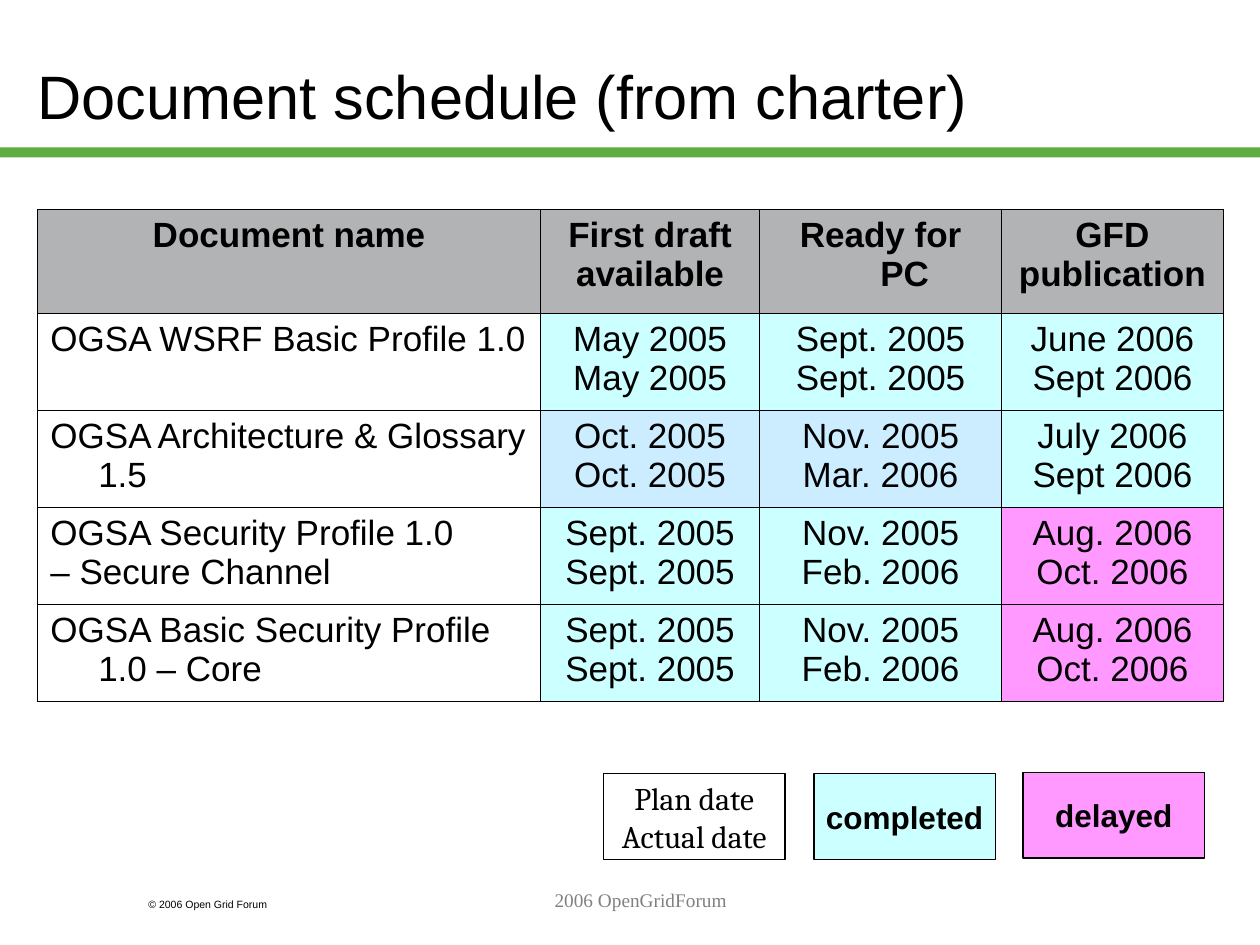
from pptx import Presentation
from pptx.dml.color import RGBColor
from pptx.enum.shapes import MSO_SHAPE
from pptx.enum.text import MSO_ANCHOR, PP_ALIGN
from pptx.oxml import parse_xml
from pptx.oxml.ns import nsdecls
from pptx.util import Inches, Pt

RECTANGLE = MSO_SHAPE.RECTANGLE
TOP, MIDDLE = MSO_ANCHOR.TOP, MSO_ANCHOR.MIDDLE
LEFT, CENTER = PP_ALIGN.LEFT, PP_ALIGN.CENTER

BLACK = RGBColor(0x00, 0x00, 0x00)
GREY = RGBColor(0x80, 0x80, 0x80)
GREEN = RGBColor(0x5D, 0xAD, 0x41)
HEADER = RGBColor(0xB2, 0xB3, 0xB5)
COMPLETED = RGBColor(0xCC, 0xFF, 0xFF)
EARLIER = RGBColor(0xCC, 0xEC, 0xFF)
DELAYED = RGBColor(0xFF, 0x99, 0xFF)

COLUMN_WIDTHS = [3.99, 1.74, 1.92, 1.76]
ROW_HEIGHTS = [0.83] + [0.77] * 4
# Each row: cell texts, then cell fills
SCHEDULE = [
    (["Document name", "First draft\navailable", "Ready for PC", "GFD\npublication"],
     [HEADER] * 4),
    (["OGSA WSRF Basic Profile 1.0", "May 2005\nMay 2005",
      "Sept. 2005\nSept. 2005", "June 2006\nSept 2006"],
     [None, COMPLETED, COMPLETED, COMPLETED]),
    (["OGSA Architecture & Glossary 1.5", "Oct. 2005\nOct. 2005",
      "Nov. 2005\nMar. 2006", "July 2006\nSept 2006"],
     [None, EARLIER, EARLIER, COMPLETED]),
    (["OGSA Security Profile 1.0\n– Secure Channel", "Sept. 2005\nSept. 2005",
      "Nov. 2005\nFeb. 2006", "Aug. 2006\nOct. 2006"],
     [None, COMPLETED, COMPLETED, DELAYED]),
    (["OGSA Basic Security Profile 1.0 – Core", "Sept. 2005\nSept. 2005",
      "Nov. 2005\nFeb. 2006", "Aug. 2006\nOct. 2006"],
     [None, COMPLETED, COMPLETED, DELAYED]),
]
LEGEND = [
    (4.79, 6.14, "Plan date\nActual date", None, {"name": "Cambria"}),
    (6.46, 6.14, "completed", COMPLETED, {"bold": True}),
    (8.12, 6.13, "delayed", DELAYED, {"bold": True}),
]


class SlideBuilder:
    base_font = {"name": "Arial", "size": Pt(18), "bold": False}

    def __init__(self, slide):
        self.slide = slide

    def set_text(self, frame, text, align=LEFT, color=BLACK, hanging=0, **font):
        frame.text = text
        for paragraph in frame.paragraphs:
            paragraph.alignment = align
            if hanging:
                properties = paragraph._p.get_or_add_pPr()
                properties.set("marL", str(Inches(hanging)))
                properties.set("indent", str(-Inches(hanging)))
            for run in paragraph.runs:
                for name, value in {**self.base_font, **font}.items():
                    setattr(run.font, name, value)
                run.font.color.rgb = color

    def paint(self, fill, color):
        if color is None:
            fill.background()
        else:
            fill.solid()
            fill.fore_color.rgb = color

    def text_box(self, box, text, anchor=TOP, **style):
        shape = self.slide.shapes.add_textbox(*map(Inches, box))
        shape.text_frame.word_wrap = True
        shape.text_frame.vertical_anchor = anchor
        self.set_text(shape.text_frame, text, **style)

    def rectangle(self, box, color, text="", outlined=False, **style):
        shape = self.slide.shapes.add_shape(RECTANGLE, *map(Inches, box))
        shape.shadow.inherit = False
        self.paint(shape.fill, color)
        if outlined:
            shape.line.color.rgb = BLACK
            shape.line.width = Pt(0.75)
        else:
            shape.line.fill.background()
        if text:
            shape.text_frame.word_wrap = False
            shape.text_frame.vertical_anchor = MIDDLE
            self.set_text(shape.text_frame, text, align=CENTER, **style)

    def border(self, cell):
        properties = cell._tc.get_or_add_tcPr()
        for index, side in enumerate(("lnL", "lnR", "lnT", "lnB")):
            properties.insert(index, parse_xml(
                f'<a:{side} {nsdecls("a")} w="{Pt(0.45)}"><a:solidFill>'
                f'<a:srgbClr val="{BLACK}"/></a:solidFill></a:{side}>'))

    def table(self, left, top, widths, heights, rows):
        table = self.slide.shapes.add_table(
            len(heights), len(widths), Inches(left), Inches(top),
            Inches(sum(widths)), Inches(sum(heights))).table
        table.first_row = table.horz_banding = False
        for column, width in zip(table.columns, widths):
            column.width = Inches(width)
        for row, height in zip(table.rows, heights):
            row.height = Inches(height)
        for row_index, (texts, fills) in enumerate(rows):
            for column_index, (text, color) in enumerate(zip(texts, fills)):
                cell = table.cell(row_index, column_index)
                self.paint(cell.fill, color)
                self.border(cell)
                self.set_text(cell.text_frame, text, hanging=0.38, size=Pt(20),
                              align=LEFT if color is None else CENTER,
                              bold=row_index == 0)


def main():
    presentation = Presentation()
    presentation.slide_width, presentation.slide_height = Inches(10), Inches(7.5)
    builder = SlideBuilder(presentation.slides.add_slide(presentation.slide_layouts[6]))

    # Green rule, copyright line and title
    builder.rectangle((0, 1.17, 10, 0.08), GREEN)
    builder.text_box((1.08, 7.08, 1.5, 0.2), "© 2006 Open Grid Forum", size=Pt(6))
    builder.text_box((0.2, 0.13, 8.5, 1.25), "Document schedule (from charter)",
                     anchor=MIDDLE, size=Pt(35))

    # Schedule table
    builder.table(0.3, 1.66, COLUMN_WIDTHS, ROW_HEIGHTS, SCHEDULE)

    # Legend
    for left, top, text, color, font in LEGEND:
        builder.rectangle((left, top, 1.44, 0.68), color, text, outlined=True, **font)

    # Footer
    builder.text_box((2.17, 7, 5.83, 0.5), "2006 OpenGridForum", align=CENTER,
                     color=GREY, name="Times New Roman", size=Pt(11))

    presentation.save("out.pptx")


if __name__ == "__main__":
    main()
